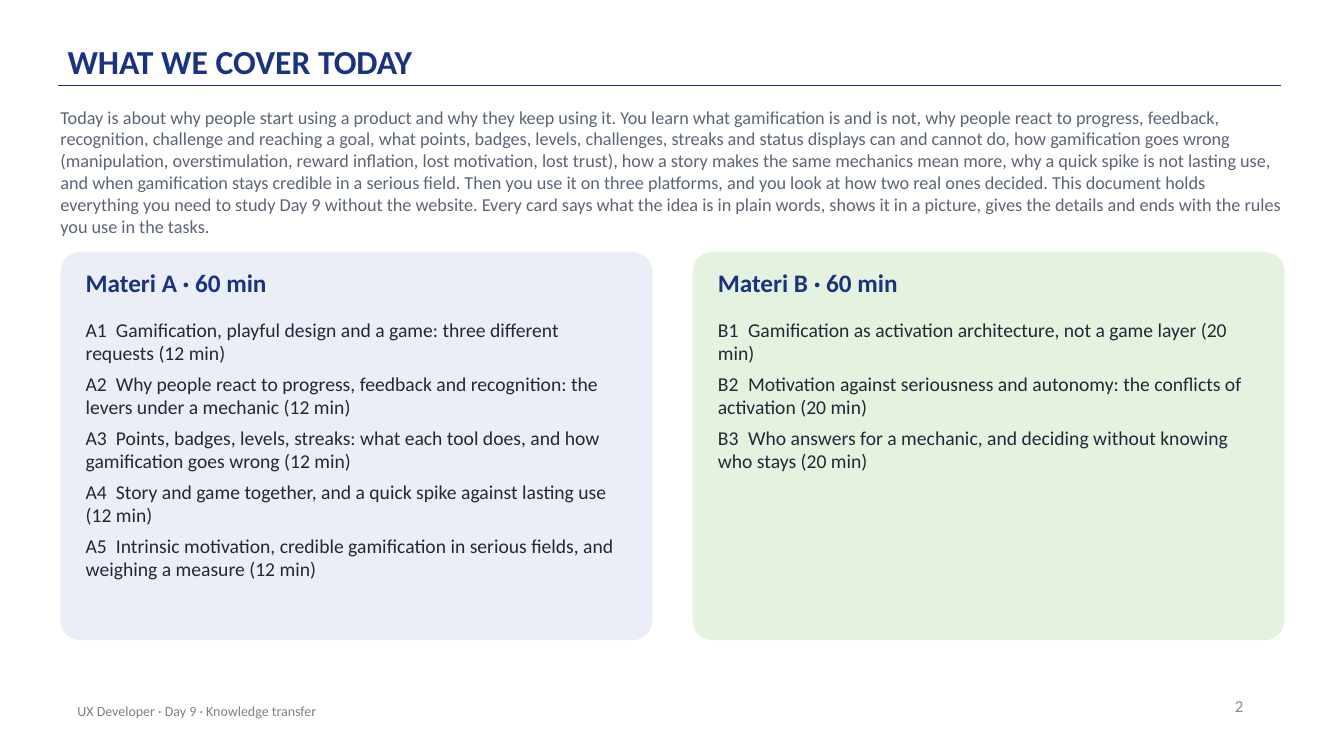
from lxml import etree
from pptx import Presentation
from pptx import util as u
from pptx.dml.color import RGBColor
from pptx.enum import shapes, text
from pptx.oxml.ns import qn

PX = 9144
FONT = "Calibri"
COLORS = {
    "navy": "1A3381",
    "ink": "1F2937",
    "slate": "5B6577",
    "footer": "808080",
    "number": "8C8C8C",
    "blue_card": "ECEEF7",
    "green_card": "E5F2DF",
}
INTRO = [
    "Today is about why people start using a product and why they keep using it.",
    "You learn what gamification is and is not, why people react to progress, feedback, "
    "recognition, challenge and reaching a goal, what points, badges, levels, challenges, "
    "streaks and status displays can and cannot do, how gamification goes wrong "
    "(manipulation, overstimulation, reward inflation, lost motivation, lost trust), "
    "how a story makes the same mechanics mean more, why a quick spike is not lasting use, "
    "and when gamification stays credible in a serious field.",
    "Then you use it on three platforms, and you look at how two real ones decided.",
    "This document holds everything you need to study Day 9 without the website.",
    "Every card says what the idea is in plain words, shows it in a picture, "
    "gives the details and ends with the rules you use in the tasks.",
]
CARDS = [
    ("A", "blue_card", 12, [
        "Gamification, playful design and a game: three different requests",
        "Why people react to progress, feedback and recognition: the levers under a mechanic",
        "Points, badges, levels, streaks: what each tool does, and how gamification goes wrong",
        "Story and game together, and a quick spike against lasting use",
        "Intrinsic motivation, credible gamification in serious fields, and weighing a measure",
    ]),
    ("B", "green_card", 20, [
        "Gamification as activation architecture, not a game layer",
        "Motivation against seriousness and autonomy: the conflicts of activation",
        "Who answers for a mechanic, and deciding without knowing who stays",
    ]),
]
GROW = {"auto_size": text.MSO_AUTO_SIZE.SHAPE_TO_FIT_TEXT}
MIDDLE = {"vertical_anchor": text.MSO_ANCHOR.MIDDLE}


def color(name):
    return RGBColor.from_string(COLORS[name])


def apply(target, values):
    for name, value in values.items():
        setattr(target, name, value)


def add_tab(p, position):
    tabs = etree.SubElement(p._p.get_or_add_pPr(), qn("a:tabLst"))
    etree.SubElement(tabs, qn("a:tab"), pos=str(position * PX), algn="l")


def add_text(s, box, lines, size, ink, bold=False, insets=(0, 0), frame={}, para={}, tab=None):
    tf = s.shapes.add_textbox(*(n * PX for n in box)).text_frame
    side, end = (n * PX for n in insets)
    apply(tf, {"word_wrap": True, "margin_left": side, "margin_right": side,
               "margin_top": end, "margin_bottom": end, **frame})
    for i, line in enumerate(lines):
        p = tf.add_paragraph() if i else tf.paragraphs[0]
        if tab:
            add_tab(p, tab)
        apply(p, para)
        r = p.add_run()
        r.text = line
        apply(r.font, {"name": FONT, "size": u.Pt(size), "bold": bold})
        r.font.color.rgb = color(ink)


def add_rule(s, left, right, y):
    line = s.shapes.add_connector(shapes.MSO_CONNECTOR.STRAIGHT, left * PX, y * PX, right * PX, y * PX)
    line.line.color.rgb = color("navy")
    line.line.width = u.Pt(1)
    etree.SubElement(line._element.spPr, qn("a:effectLst"))


def add_card(s, left, letter, fill, minutes, topics):
    sp = s.shapes.add_shape(shapes.MSO_SHAPE.ROUNDED_RECTANGLE, left * PX, 250 * PX, 587 * PX, 385 * PX)
    sp.adjustments[0] = 0.05
    sp.shadow.inherit = False
    sp.fill.solid()
    sp.fill.fore_color.rgb = color(fill)
    sp.line.fill.background()
    total = minutes * len(topics)
    add_text(s, (left + 25, 265, 537, 40), [f"Materi {letter} · {total} min"], 18, "navy",
             bold=True, frame=GROW, para={"space_after": u.Pt(6)})
    lines = [f"{letter}{n}\t{topic} ({minutes} min)" for n, topic in enumerate(topics, 1)]
    add_text(s, (left + 25, 315, 537, 310), lines, 14, "ink",
             frame=GROW, para={"space_after": u.Pt(5)}, tab=30)


def main():
    prs = Presentation()
    prs.slide_width, prs.slide_height = 1333 * PX, 750 * PX
    s = prs.slides.add_slide(prs.slide_layouts[6])
    add_rule(s, 58, 1271, 85)
    add_text(s, (67, 12, 1100, 72), ["WHAT WE COVER TODAY"], 24, "navy", bold=True, insets=(0, 3),
             frame={"vertical_anchor": text.MSO_ANCHOR.BOTTOM}, para={"line_spacing": 0.9})
    add_text(s, (943, 680, 300, 40), ["2"], 12, "number", insets=(10, 5),
             frame=MIDDLE, para={"alignment": text.PP_ALIGN.RIGHT})
    add_text(s, (67, 685, 670, 40), ["UX Developer · Day 9 · Knowledge transfer"], 10, "footer",
             insets=(10, 5), frame=MIDDLE)
    add_text(s, (60, 105, 1210, 120), [" ".join(INTRO)], 13, "slate",
             frame=GROW, para={"space_after": u.Pt(6)})
    for i, card in enumerate(CARDS):
        add_card(s, 60 + i * 627, *card)
    prs.save("out.pptx")


if __name__ == "__main__":
    main()
